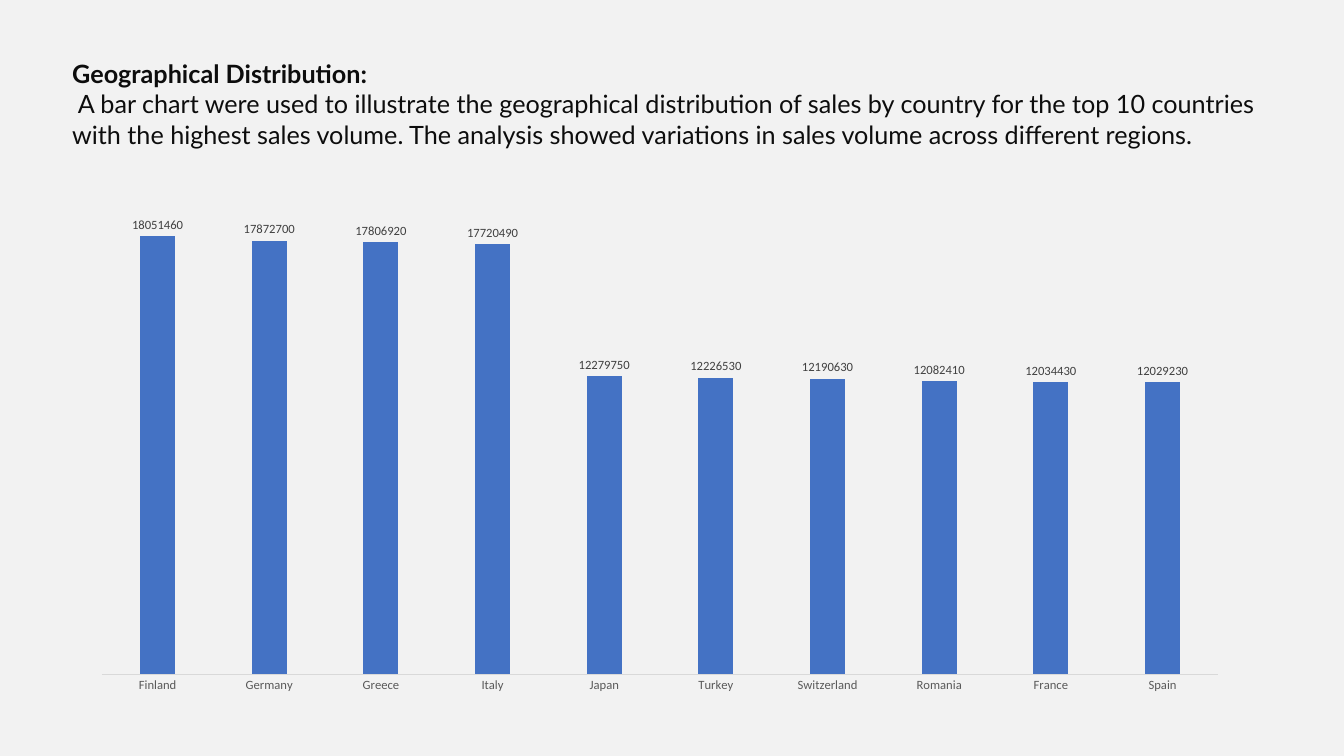
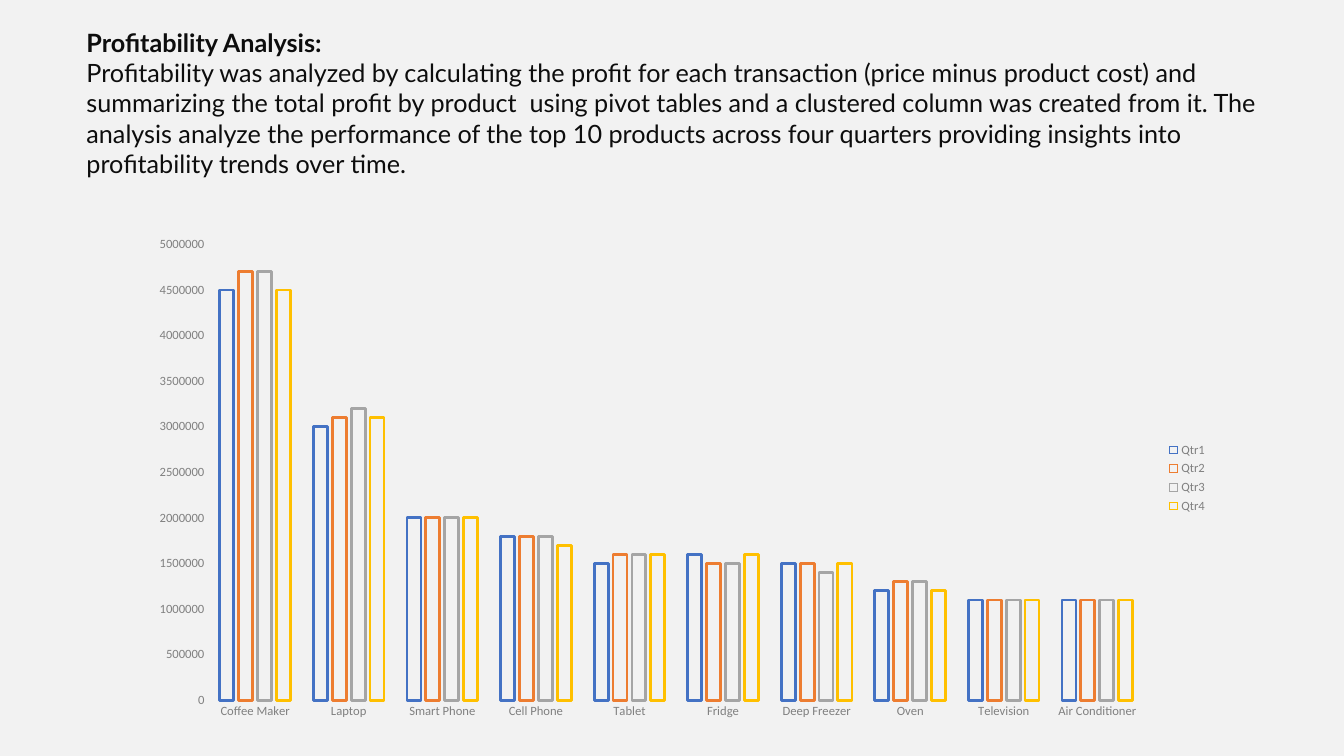
from pptx import Presentation
from pptx.chart.data import CategoryChartData
from pptx.dml.color import RGBColor
from pptx.enum.chart import XL_CHART_TYPE, XL_LABEL_POSITION, XL_LEGEND_POSITION, XL_TICK_MARK
from pptx.enum.text import MSO_AUTO_SIZE
from pptx.util import Cm, Pt

COLUMN_CLUSTERED = XL_CHART_TYPE.COLUMN_CLUSTERED
OUTSIDE_END = XL_LABEL_POSITION.OUTSIDE_END
LEGEND_RIGHT = XL_LEGEND_POSITION.RIGHT
NO_TICK = XL_TICK_MARK.NONE
GROW_TO_FIT = MSO_AUTO_SIZE.SHAPE_TO_FIT_TEXT
BLANK_LAYOUT = 6

BACKGROUND = RGBColor(0xF2, 0xF2, 0xF2)
TEXT = RGBColor(0x0D, 0x0D, 0x0D)
BLACK = RGBColor(0x00, 0x00, 0x00)
DARK_GREY = RGBColor(0x40, 0x40, 0x40)
AXIS_GREY = RGBColor(0x59, 0x59, 0x59)
MID_GREY = RGBColor(0x80, 0x80, 0x80)
LINE_GREY = RGBColor(0xD9, 0xD9, 0xD9)
BLUE = RGBColor(0x44, 0x72, 0xC4)
ORANGE = RGBColor(0xED, 0x7D, 0x31)
GREY = RGBColor(0xA5, 0xA5, 0xA5)
YELLOW = RGBColor(0xFF, 0xC0, 0x00)
SERIES_COLORS = [BLUE, ORANGE, GREY, YELLOW]

TEXT_FONT = "Lato"
CHART_FONT = "Calibri"

GEOGRAPHY = {
    "heading": "Geographical Distribution:",
    "body": " A bar chart were used to illustrate the geographical distribution of sales by country "
            "for the top 10 countries with the highest sales volume. The analysis showed variations "
            "in sales volume across different regions.",
    "text_box": (1.57, 1.35, 30.33, 3.33),
    "chart_box": (1.98, 4.5, 29.31, 13.23),
    "categories": ["Finland", "Germany", "Greece", "Italy", "Japan",
                   "Turkey", "Switzerland", "Romania", "France", "Spain"],
    "series": {
        "Series 1": [18051460, 17872700, 17806920, 17720490, 12279750,
                     12226530, 12190630, 12082410, 12034430, 12029230],
    },
    "gap": 219,
    "overlap": -27,
    "maximum": 20000000,
    "axis_color": AXIS_GREY,
}

PROFITABILITY = {
    "heading": "Profitability Analysis:",
    "body": "Profitability was analyzed by calculating the profit for each transaction (price minus "
            "product cost) and summarizing the total profit by product  using pivot tables and a "
            "clustered column was created from it. The analysis analyze the performance of the top "
            "10 products across four quarters providing insights into profitability trends over time.",
    "text_box": (1.93, 0.56, 30.35, 4.11),
    "chart_box": (3.48, 5.72, 27.2, 12.65),
    "categories": ["Coffee Maker", "Laptop", "Smart Phone", "Cell Phone", "Tablet",
                   "Fridge", "Deep Freezer", "Oven", "Television", "Air Conditioner"],
    "series": {
        "Qtr1": [4500000, 3000000, 2000000, 1800000, 1500000,
                 1600000, 1500000, 1200000, 1100000, 1100000],
        "Qtr2": [4700000, 3100000, 2000000, 1800000, 1600000,
                 1500000, 1500000, 1300000, 1100000, 1100000],
        "Qtr3": [4700000, 3200000, 2000000, 1800000, 1600000,
                 1500000, 1400000, 1300000, 1100000, 1100000],
        "Qtr4": [4500000, 3100000, 2000000, 1700000, 1600000,
                 1600000, 1500000, 1200000, 1100000, 1100000],
    },
    "gap": 164,
    "overlap": -35,
    "maximum": 5000000,
    "axis_color": MID_GREY,
}


def to_lengths(box):
    return [Cm(value) for value in box]


def format_font(font, name=CHART_FONT, size=9, color=BLACK, bold=False):
    font.name = name
    font.size = Pt(size)
    font.color.rgb = color
    font.bold = bold


def add_run(paragraph, text, **font_format):
    run = paragraph.add_run()
    run.text = text
    format_font(run.font, **font_format)


def add_description(slide, content):
    frame = slide.shapes.add_textbox(*to_lengths(content["text_box"])).text_frame
    frame.word_wrap = True
    frame.auto_size = GROW_TO_FIT
    add_run(frame.paragraphs[0], content["heading"],
            name=TEXT_FONT, size=18, color=TEXT, bold=True)
    add_run(frame.add_paragraph(), content["body"], name=TEXT_FONT, size=18, color=TEXT)


def add_column_chart(slide, content):
    data = CategoryChartData(number_format="General")
    data.categories = content["categories"]
    for name, values in content["series"].items():
        data.add_series(name, values)
    chart = slide.shapes.add_chart(
        COLUMN_CLUSTERED, *to_lengths(content["chart_box"]), data).chart
    chart.has_title = False
    chart.has_legend = False
    format_font(chart.font, size=10)

    plot = chart.plots[0]
    plot.gap_width = content["gap"]
    plot.overlap = content["overlap"]
    plot.vary_by_categories = False

    for axis in (chart.category_axis, chart.value_axis):
        axis.has_major_gridlines = False
        axis.major_tick_mark = NO_TICK
        axis.minor_tick_mark = NO_TICK
        axis.format.line.fill.background()
        format_font(axis.tick_labels.font, color=content["axis_color"])
    chart.value_axis.minimum_scale = 0
    chart.value_axis.maximum_scale = content["maximum"]
    chart.value_axis.major_unit = content["maximum"] / 10
    return chart


def style_labelled_columns(chart):
    chart.value_axis.visible = False
    axis_line = chart.category_axis.format.line
    axis_line.color.rgb = LINE_GREY
    axis_line.width = Pt(0.75)
    series = chart.plots[0].series[0]
    series.format.fill.solid()
    series.format.fill.fore_color.rgb = BLUE
    labels = series.data_labels
    labels.show_value = True
    labels.position = OUTSIDE_END
    format_font(labels.font, color=DARK_GREY)


def style_outlined_columns(chart):
    for series, color in zip(chart.plots[0].series, SERIES_COLORS):
        series.format.fill.background()
        series.format.line.color.rgb = color
        series.format.line.width = Pt(2)
    chart.has_legend = True
    chart.legend.position = LEGEND_RIGHT
    chart.legend.include_in_layout = False
    format_font(chart.legend.font, color=MID_GREY)


def main():
    presentation = Presentation()
    presentation.slide_width = Cm(33.87)
    presentation.slide_height = Cm(19.05)
    background = presentation.slide_master.background.fill
    background.solid()
    background.fore_color.rgb = BACKGROUND

    for content, style_columns in ((GEOGRAPHY, style_labelled_columns),
                                   (PROFITABILITY, style_outlined_columns)):
        slide = presentation.slides.add_slide(presentation.slide_layouts[BLANK_LAYOUT])
        add_description(slide, content)
        style_columns(add_column_chart(slide, content))

    presentation.save("out.pptx")


if __name__ == "__main__":
    main()
